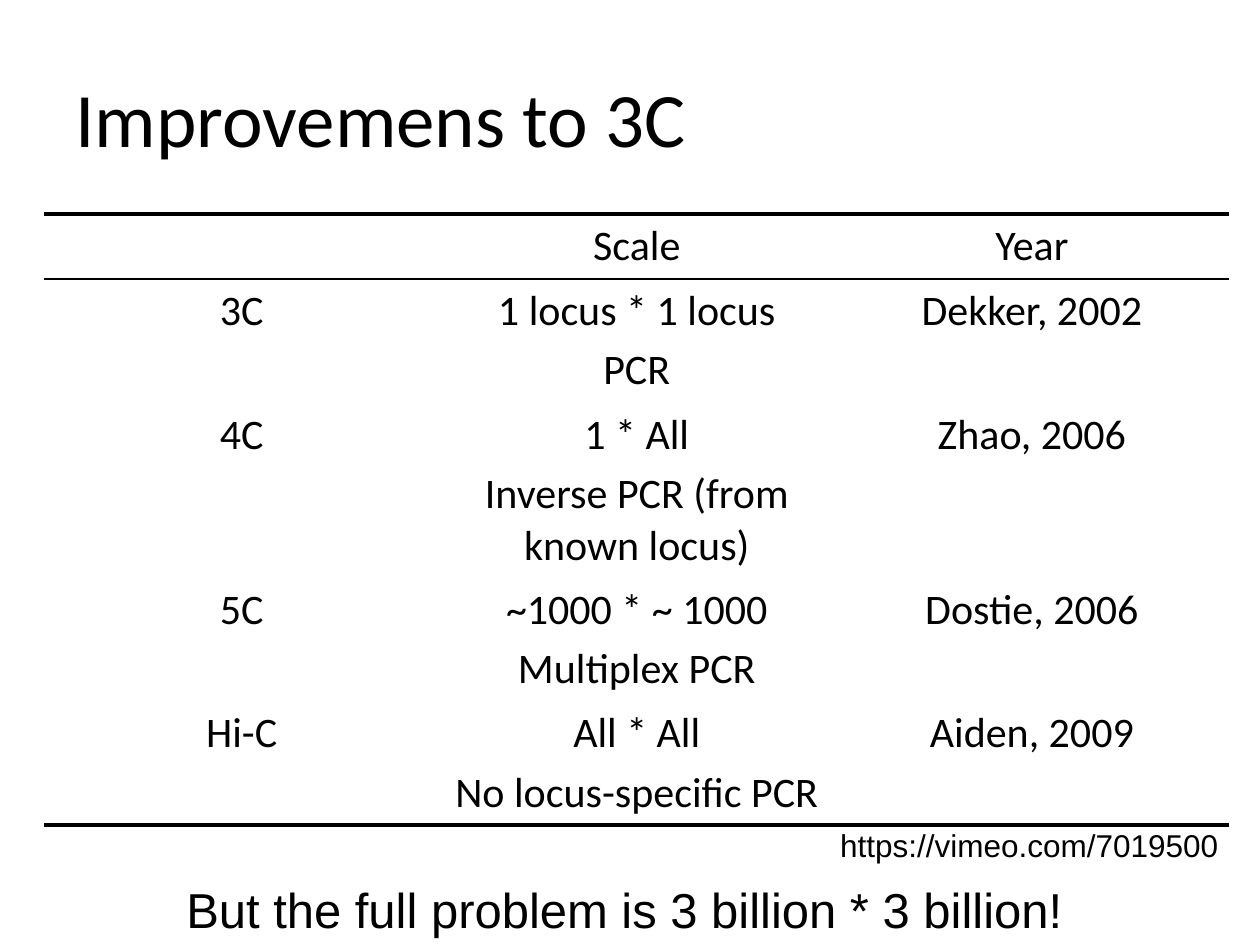
from dataclasses import dataclass

from lxml.etree import SubElement
from pptx import Presentation
from pptx.dml.color import RGBColor
from pptx.enum.text import MSO_ANCHOR as Anchor, MSO_AUTO_SIZE as AutoSize, PP_ALIGN as Align
from pptx.oxml.ns import qn
from pptx.util import Pt


@dataclass(frozen=True)
class Theme:
    ink: str = "000000"
    heading_font: str = "Calibri"
    note_font: str = "Arial"
    title_size: float = 44
    table_size: float = 24
    remark_size: float = 28
    link_size: float = 18
    thick_rule: float = 2.25
    thin_rule: float = 1


@dataclass(frozen=True)
class Note:
    text: str
    left: float
    top: float
    width: float
    height: float
    size: float


@dataclass(frozen=True)
class Method:
    name: str
    scale: tuple[str, ...]
    year: str
    height: float


THEME = Theme()
TABLE_LEFT, TABLE_TOP, COLUMN_WIDTH = 25.2, 122.4, 225.8

METHODS = [
    Method("", ("Scale",), "Year", 37),
    Method("3C", ("1 locus * 1 locus", "PCR"), "Dekker, 2002", 71),
    Method("4C", ("1 * All", "Inverse PCR (from known locus)"), "Zhao, 2006", 99),
    Method("5C", ("~1000 * ~ 1000", "Multiplex PCR"), "Dostie, 2006", 70),
    Method("Hi-C", ("All * All", "No locus-specific PCR"), "Aiden, 2009", 70),
]

NOTES = [
    Note("But the full problem is 3 billion * 3 billion!", 99.4, 499, 516.2, 41, THEME.remark_size),
    Note("https://vimeo.com/7019500", 473, 468.7, 230.4, 29, THEME.link_size),
]


def apply_format(target, values: dict) -> None:
    for name, value in values.items():
        setattr(target, name, value)


def write_lines(frame, lines: tuple[str, ...], font: str, size: float, align=Align.LEFT) -> None:
    """Write one paragraph per line, with a fifth of a line between them."""
    for index, line in enumerate(lines):
        para = frame.paragraphs[0] if index == 0 else frame.add_paragraph()
        para.alignment = align
        if index:
            para.space_before = Pt(0.2 * size)
        if line:
            span = para.add_run()
            span.text = line
            apply_format(span.font, {"name": font, "size": Pt(size)})
            span.font.color.rgb = RGBColor.from_string(THEME.ink)


def set_borders(cell, top: float, bottom: float) -> None:
    """Rule the cell above and below; a width of 0 means no line."""
    properties = cell._tc.get_or_add_tcPr()
    for tag, width in {"a:lnL": 0, "a:lnR": 0, "a:lnT": top, "a:lnB": bottom}.items():
        line = SubElement(properties, qn(tag), w=str(Pt(width)))
        if width:
            fill = SubElement(line, qn("a:solidFill"))
            SubElement(fill, qn("a:srgbClr"), val=THEME.ink)
        else:
            SubElement(line, qn("a:noFill"))


def add_methods_table(page, methods: list[Method]) -> None:
    total = sum(method.height for method in methods)
    table = page.shapes.add_table(
        len(methods), 3, Pt(TABLE_LEFT), Pt(TABLE_TOP), Pt(3 * COLUMN_WIDTH), Pt(total)
    ).table
    apply_format(table, {"first_row": False, "horz_banding": False})
    for column in table.columns:
        column.width = Pt(COLUMN_WIDTH)

    # Horizontal rules, from the top edge down
    rules = [THEME.thick_rule, THEME.thin_rule] + [0] * (len(methods) - 2) + [THEME.thick_rule]
    for row, method in enumerate(methods):
        table.rows[row].height = Pt(method.height)
        for column, lines in enumerate([(method.name,), method.scale, (method.year,)]):
            cell = table.cell(row, column)
            write_lines(cell.text_frame, lines, THEME.heading_font, THEME.table_size, Align.CENTER)
            set_borders(cell, rules[row], rules[row + 1])
            cell.fill.background()


def add_note(page, note: Note) -> None:
    box = page.shapes.add_textbox(Pt(note.left), Pt(note.top), Pt(note.width), Pt(note.height))
    apply_format(box.text_frame, {"word_wrap": False, "auto_size": AutoSize.SHAPE_TO_FIT_TEXT})
    write_lines(box.text_frame, (note.text,), THEME.note_font, note.size)


def main() -> None:
    deck = Presentation()
    apply_format(deck, {"slide_width": Pt(720), "slide_height": Pt(540)})
    page = deck.slides.add_slide(deck.slide_layouts[5])

    # Title
    title = page.shapes.title
    apply_format(title, {"left": Pt(36), "top": Pt(21.6), "width": Pt(648), "height": Pt(90)})
    title.text_frame.vertical_anchor = Anchor.MIDDLE
    write_lines(title.text_frame, ("Improvemens to 3C",), THEME.heading_font, THEME.title_size)

    # Table and the notes below it
    add_methods_table(page, METHODS)
    for note in NOTES:
        add_note(page, note)

    deck.save("out.pptx")


if __name__ == "__main__":
    main()
